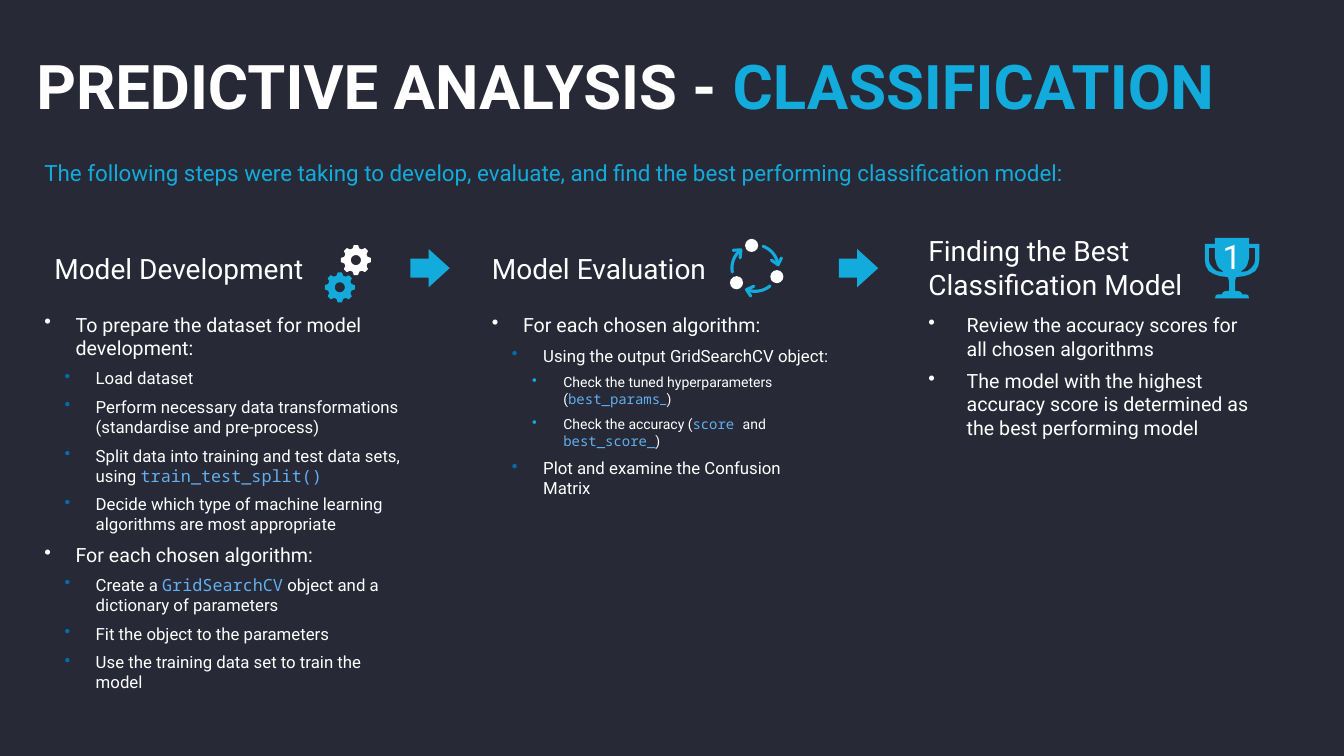
import math
import pptx
import pptx.util
import pptx.dml.color
import pptx.enum.shapes
import pptx.enum.text
import pptx.oxml.ns
import lxml.etree

PX = 9144
theme = {
    "back": "272936", "white": "FFFFFF", "cyan": "12ABDB",
    "blue": "0070AD", "code": "61AFEF",
    "font": "Roboto", "mono": "Noto Sans Mono",
    "title": 44, "digit": 24, "head": 20, "lead": 16, "body": (14, 12, 10),
}
qn = pptx.oxml.ns.qn
rgb = pptx.dml.color.RGBColor.from_string
middle = pptx.enum.text.MSO_ANCHOR.MIDDLE
bottom = pptx.enum.text.MSO_ANCHOR.BOTTOM


def write(frame, text, size, color="white", bold=False, after=6, level=0, step=0, dot=None, center=False):
    fresh = len(frame.paragraphs) == 1 and not frame.paragraphs[0].runs
    para = frame.paragraphs[0] if fresh else frame.add_paragraph()
    para.level = level
    para.space_after = pptx.util.Pt(after)
    if center:
        para.alignment = pptx.enum.text.PP_ALIGN.CENTER
    if step:
        props = para._p.get_or_add_pPr()
        props.set("marL", str((step + 20 * level) * PX))
        props.set("indent", str(-step * PX))
        tint = lxml.etree.SubElement(props, qn("a:buClr"))
        lxml.etree.SubElement(tint, qn("a:srgbClr")).set("val", theme[dot])
        lxml.etree.SubElement(props, qn("a:buChar")).set("char", "•")
    for part in [text] if isinstance(text, str) else text:
        words, tone, face = (part, color, "font") if isinstance(part, str) else part
        run = para.add_run()
        run.text = words
        run.font.size = pptx.util.Pt(size)
        run.font.bold = bold
        run.font.name = theme[face]
        run.font.color.rgb = rgb(theme[tone])


def trace(home, loops, color, closed=True):
    spots = [[(round(x * PX), round(y * PX)) for x, y in loop] for loop in loops]
    pen = home.build_freeform(*spots[0][0], scale=1.0)
    pen.add_line_segments(spots[0][1:], close=closed)
    for loop in spots[1:]:
        pen.move_to(*loop[0])
        pen.add_line_segments(loop[1:], close=closed)
    shape = pen.convert_to_shape()
    shape.shadow.inherit = False
    if closed:
        shape.fill.solid()
        shape.fill.fore_color.rgb = rgb(theme[color])
        shape.line.fill.background()
    else:
        shape.fill.background()
        shape.line.color.rgb = rgb(theme[color])
        shape.line.width = pptx.util.Pt(2.2)
        shape._element.spPr.find(qn("a:ln")).set("cap", "rnd")
    return shape


deck = pptx.Presentation()
deck.slide_width = 1333 * PX
deck.slide_height = 750 * PX
slide = deck.slides.add_slide(deck.slide_layouts[6])
slide.background.fill.solid()
slide.background.fill.fore_color.rgb = rgb(theme["back"])
shapes = slide.shapes

frames = {}
for name, spot, inset, anchor in [
    ("lead", (44, 158, 1247, 76), (0, 0), None),
    ("title", (32, 47, 1245, 74), (4, 0), bottom),
    ("build head", (44, 228, 378, 77), (10, 5), middle),
    ("build", (44, 310, 363, 372), (0, 0), None),
    ("test head", (478, 232, 279, 69), (10, 5), middle),
    ("test", (478, 306, 354, 376), (10, 5), None),
    ("pick head", (911, 227, 378, 79), (10, 5), None),
    ("pick", (911, 306, 338, 376), (10, 5), None),
]:
    frame = shapes.add_textbox(*[n * PX for n in spot]).text_frame
    frame.word_wrap = True
    frame.margin_left = frame.margin_right = inset[0] * PX
    frame.margin_top = frame.margin_bottom = inset[1] * PX
    if anchor is not None:
        frame.vertical_anchor = anchor
    frames[name] = frame

write(frames["lead"], "The following steps were taking to develop, evaluate, and find the best performing classification model:",
      theme["lead"], color="cyan")
write(frames["title"], ["PREDICTIVE ANALYSIS - ", ("CLASSIFICATION", "cyan", "font")],
      theme["title"], bold=True, after=0)
for name, text in [
    ("build head", "Model Development"),
    ("test head", "Model Evaluation"),
    ("pick head", "Finding the Best Classification Model"),
]:
    write(frames[name], text, theme["head"])

lists = {
    "build": (31, [
        (0, "To prepare the dataset for model development:"),
        (1, "Load dataset"),
        (1, "Perform necessary data transformations (standardise and pre-process)"),
        (1, ["Split data into training and test data sets, using ", ("train_test_split()", "code", "mono")]),
        (1, "Decide which type of machine learning algorithms are most appropriate"),
        (0, "For each chosen algorithm:"),
        (1, ["Create a ", ("GridSearchCV", "code", "mono"), " object and a dictionary of parameters"]),
        (1, "Fit the object to the parameters"),
        (1, "Use the training data set to train the model"),
    ]),
    "test": (31, [
        (0, "For each chosen algorithm:"),
        (1, "Using the output GridSearchCV object:"),
        (2, ["Check the tuned hyperparameters (", ("best_params", "code", "mono"), ("_", "code", "font"), ")"]),
        (2, ["Check the accuracy (", ("score ", "code", "mono"), "and ", ("best_score_", "code", "mono"), ")"]),
        (1, "Plot and examine the Confusion Matrix"),
    ]),
    "pick": (38, [
        (0, "Review the accuracy scores for all chosen algorithms"),
        (0, "The model with the highest accuracy score is determined as the best performing model"),
    ]),
}
for name, (step, items) in lists.items():
    for level, text in items:
        write(frames[name], text, theme["body"][level], level=level, step=step,
              dot=("white", "blue", "cyan")[level])

for left in (407, 832):
    arrow = shapes.add_shape(pptx.enum.shapes.MSO_SHAPE.RIGHT_ARROW, left * PX, 247 * PX, 39 * PX, 38 * PX)
    arrow.adjustments[0] = 0.5
    arrow.adjustments[1] = 0.55
    arrow.shadow.inherit = False
    arrow.fill.solid()
    arrow.fill.fore_color.rgb = rgb(theme["cyan"])
    arrow.line.fill.background()

cycle = shapes.add_group_shape().shapes
for turn in (0, 120, 240):
    arc = [(23, turn + deg) for deg in range(-70, -9, 5)]
    tip = [(18, turn - 26), (23, turn - 8), (28, turn - 21)]
    loops = [[(749 + r * math.cos(math.radians(a)), 266 + r * math.sin(math.radians(a)))
              for r, a in loop] for loop in (arc, tip)]
    trace(cycle, loops, "cyan", closed=False)
for left, top in [(724, 274), (764, 268), (739, 237)]:
    ball = cycle.add_shape(pptx.enum.shapes.MSO_SHAPE.OVAL, left * PX, top * PX, 13 * PX, 13 * PX)
    ball.shadow.inherit = False
    ball.fill.solid()
    ball.fill.fore_color.rgb = rgb(theme["white"])
    ball.line.fill.background()

half = [(17, 236), (17, 242), (27, 242), (27, 258), (26, 264), (23, 269), (18, 272), (12, 274),
        (4, 275), (3, 279), (3, 289), (7, 289), (9, 290), (10, 292), (14, 292), (16, 293), (17, 296)]
grip = [(17, 246), (23, 246), (23, 258), (22, 262), (19, 266), (15, 269), (8, 270),
        (13, 266), (15, 263), (17, 256)]
loops = [[(1222 + x, y) for x, y in half] + [(1222 - x, y) for x, y in reversed(half)]]
loops += [[(1222 + side * x, y) for x, y in grip] for side in (1, -1)]
frame = trace(shapes, loops, "cyan").text_frame
frame.vertical_anchor = middle
frame.margin_left = frame.margin_right = frame.margin_top = 0
frame.margin_bottom = 24 * PX
write(frame, "1", theme["digit"], after=0, center=True)

gears = shapes.add_group_shape().shapes
for x, y, color in [(353, 258, "white"), (337, 285, "cyan")]:
    rim = [(r, 45 * tooth + a) for tooth in range(8) for r, a in [(12, -16), (15, -8), (15, 8), (12, 16)]]
    hole = [(5, a) for a in range(0, 360, 15)]
    loops = [[(x + r * math.cos(math.radians(a)), y + r * math.sin(math.radians(a)))
              for r, a in loop] for loop in (rim, hole)]
    trace(gears, loops, color)

deck.save("out.pptx")
